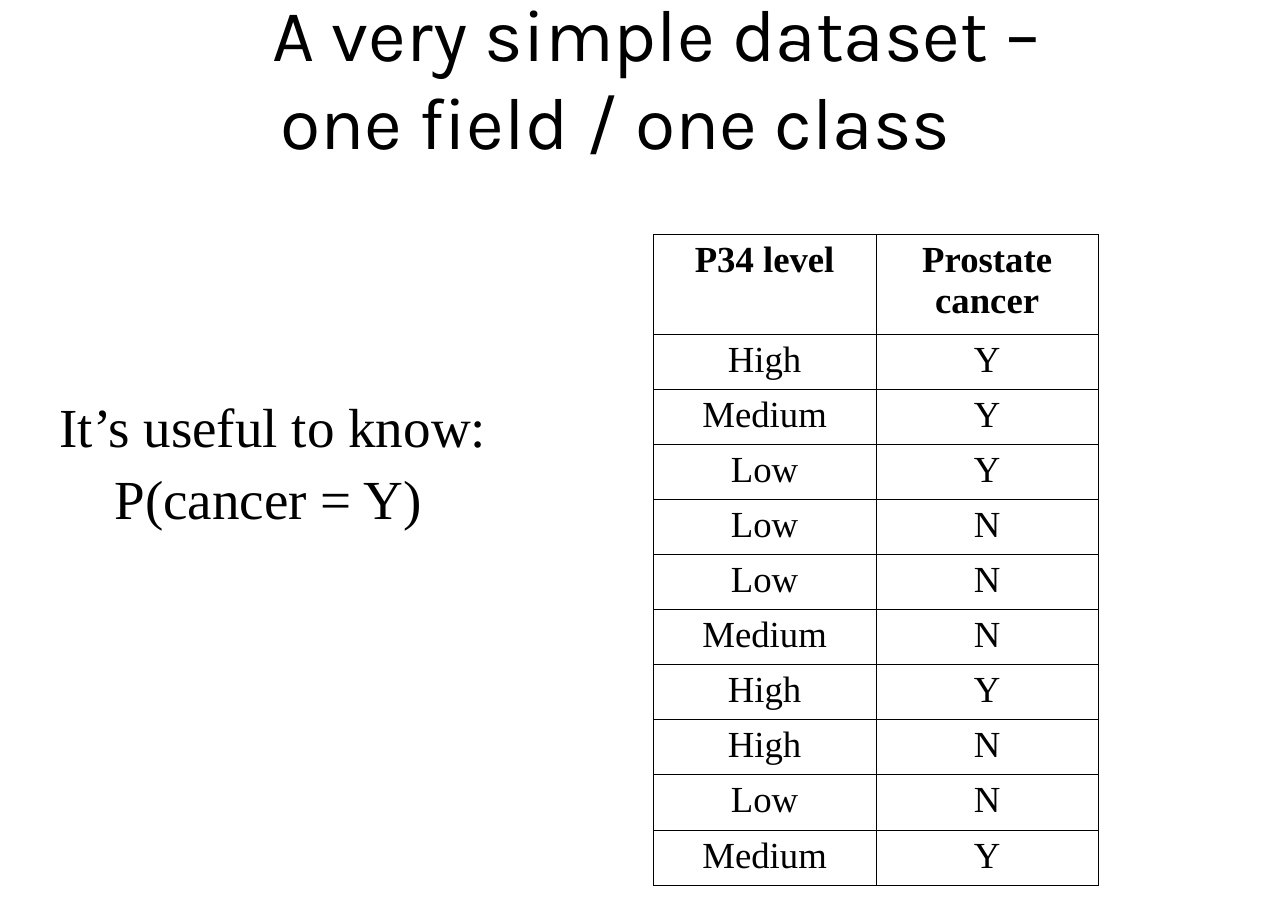
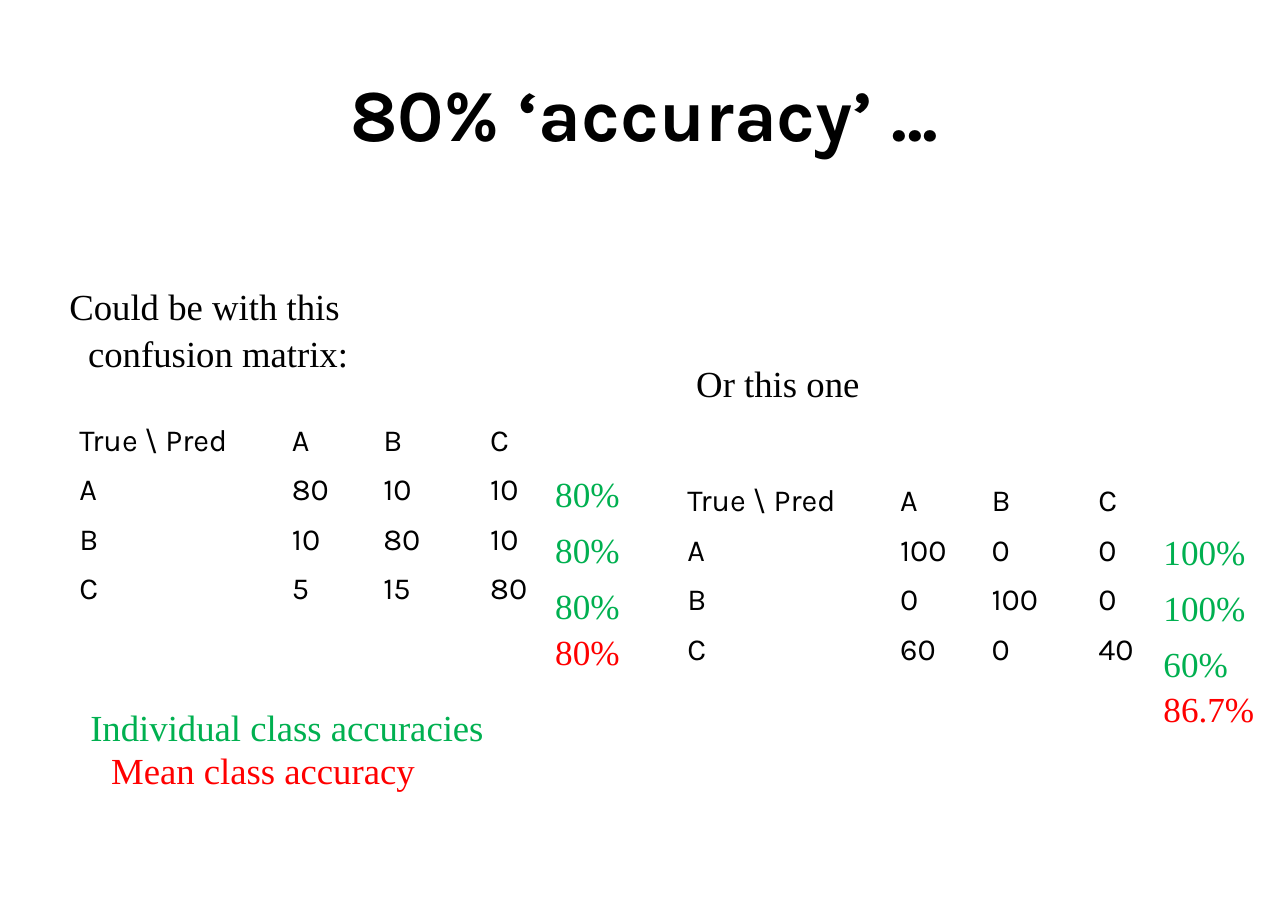
from dataclasses import dataclass

from pptx import Presentation
from pptx.dml.color import RGBColor
from pptx.enum.text import MSO_ANCHOR, PP_ALIGN
from pptx.oxml.ns import qn
from pptx.slide import Slide
from pptx.table import Table, _Cell
from pptx.text.text import TextFrame, _Paragraph
from pptx.util import Inches, Pt
from lxml.etree import SubElement


@dataclass(frozen=True)
class Theme:
    black: str = "000000"
    white: str = "FFFFFF"
    green: str = "00B050"
    red: str = "FF0000"
    sans: str = "Karla"
    serif: str = "Times New Roman"
    title: float = 48
    lead: float = 36
    body: float = 24
    score: float = 23
    matrix: float = 20
    border: float = 0.45
    leading: float = 1.08


T = Theme()


@dataclass(frozen=True)
class Line:
    text: str
    indent: float = 0
    color: str = T.black
    after: float = 0


@dataclass(frozen=True)
class Label:
    at: tuple[float, float, float, float]
    lines: list[Line]
    size: float = T.body


@dataclass(frozen=True)
class Matrix:
    left: float
    top: float
    counts: list[list[int]]
    score_top: float
    score_width: float
    scores: list[str]
    mean: str


MATRICES = [
    Matrix(0.6, 3.79, [[80, 10, 10], [10, 80, 10], [5, 15, 80]],
           4.2, 0.83, ["80%", "80%", "80%"], "80%"),
    Matrix(6.12, 4.34, [[100, 0, 0], [0, 100, 0], [60, 0, 40]],
           4.72, 1.24, ["100%", "100%", "60%"], "86.7%"),
]
SCORE_OFFSET = 4.33

LABELS = [
    Label((0.52, 2.48, 2.9, 1.31),
          [Line("Could be with this"), Line("confusion matrix:", 0.17)]),
    Label((6.13, 3.18, 1.9, 0.91), [Line("Or this one", 0.08)]),
    Label((0.71, 6.31, 3.9, 0.51),
          [Line("Individual class accuracies", color=T.green)]),
    Label((0.9, 6.7, 3.1, 0.51), [Line("Mean class accuracy", color=T.red)]),
]

PATIENTS = [
    ("High", "Y"), ("Medium", "Y"), ("Low", "Y"), ("Low", "N"), ("Low", "N"),
    ("Medium", "N"), ("High", "Y"), ("High", "N"), ("Low", "N"), ("Medium", "Y"),
]


def write(p: _Paragraph, text: str, *, size: float, font: str = T.serif,
          color: str = T.black, bold: bool = False,
          align: PP_ALIGN = PP_ALIGN.LEFT, indent: float = 0,
          after: float = 0, leading: float = 1.0) -> None:
    p.alignment = align
    p.line_spacing = leading
    p.space_after = Pt(after)
    if indent:
        p._p.get_or_add_pPr().set("marL", str(Inches(indent)))
    r = p.add_run()
    r.text = text
    r.font.size = Pt(size)
    r.font.name = font
    r.font.bold = bold
    r.font.color.rgb = RGBColor.from_string(color)


def add_box(s: Slide, at: tuple[float, float, float, float]) -> TextFrame:
    tf = s.shapes.add_textbox(*map(Inches, at)).text_frame
    tf.word_wrap = True
    tf.margin_left = tf.margin_right = Inches(0.11)
    tf.margin_top = tf.margin_bottom = Inches(0.06)
    return tf


def next_paragraph(tf: TextFrame, i: int) -> _Paragraph:
    return tf.add_paragraph() if i else tf.paragraphs[0]


def add_title(s: Slide, at: tuple[float, float, float, float], lines: list[Line],
              *, bold: bool = False, right: float = 0.11) -> None:
    tf = add_box(s, at)
    tf.vertical_anchor = MSO_ANCHOR.MIDDLE
    tf.margin_right = Inches(right)
    for i, line in enumerate(lines):
        write(next_paragraph(tf, i), line.text, size=T.title, font=T.sans,
              bold=bold, align=PP_ALIGN.CENTER, indent=line.indent)


def add_label(s: Slide, label: Label) -> None:
    tf = add_box(s, label.at)
    for i, line in enumerate(label.lines):
        write(next_paragraph(tf, i), line.text, size=label.size,
              color=line.color, indent=line.indent, after=line.after,
              leading=T.leading)


def add_grid(s: Slide, left: float, top: float, cols: list[float],
             rows: list[float]) -> Table:
    table = s.shapes.add_table(
        len(rows), len(cols), Inches(left), Inches(top),
        Inches(sum(cols)), Inches(sum(rows))).table
    table.first_row = table.horz_banding = False
    for col, width in zip(table.columns, cols):
        col.width = Inches(width)
    for row, height in zip(table.rows, rows):
        row.height = Inches(height)
    return table


def outline(cell: _Cell) -> None:
    tcPr = cell._tc.get_or_add_tcPr()
    for side in ("lnL", "lnR", "lnT", "lnB"):
        ln = SubElement(tcPr, qn(f"a:{side}"), w=str(Pt(T.border)))
        fill = SubElement(ln, qn("a:solidFill"))
        SubElement(fill, qn("a:srgbClr"), val=T.black)


def add_patients(s: Slide) -> None:
    table = add_grid(s, 5.93, 2.13, [2.02] * 2, [0.8] + [0.41] * len(PATIENTS))
    for i, row in enumerate([("P34 level", "Prostate cancer"), *PATIENTS]):
        for j, text in enumerate(row):
            cell = table.cell(i, j)
            outline(cell)
            cell.fill.solid()
            cell.fill.fore_color.rgb = RGBColor.from_string(T.white)
            write(cell.text_frame.paragraphs[0], text, size=T.body,
                  bold=i == 0, align=PP_ALIGN.CENTER)


def add_matrix(s: Slide, m: Matrix) -> None:
    classes = "ABC"
    table = add_grid(s, m.left, m.top, [1.93, 0.83, 0.97, 1.24], [0.45] * 4)
    body = [[name, *counts] for name, counts in zip(classes, m.counts)]
    for i, row in enumerate([["True \\ Pred", *classes], *body]):
        for j, value in enumerate(row):
            cell = table.cell(i, j)
            cell.fill.background()
            cell.margin_left = cell.margin_right = Inches(0.12)
            write(cell.text_frame.paragraphs[0], str(value), size=T.matrix,
                  font=T.sans)


def add_scores(s: Slide, m: Matrix) -> None:
    last = len(m.scores) - 1
    lines = [Line(score, color=T.green, after=6.9 if i < last else 0)
             for i, score in enumerate(m.scores)]
    lines.append(Line(m.mean, color=T.red))
    at = (m.left + SCORE_OFFSET, m.score_top, m.score_width, 1.84)
    add_label(s, Label(at, lines, T.score))


def build_dataset(s: Slide) -> None:
    add_title(s, (0.43, 0, 11.26, 1.38),
              [Line("A very simple dataset –", 0.74),
               Line("one field / one class")], right=1.05)
    add_patients(s)
    add_label(s, Label((0.43, 3.46, 4.35, 2.5),
                       [Line("It’s useful to know:"),
                        Line("P(cancer = Y)", 0.5)], T.lead))


def build_accuracy(s: Slide) -> None:
    add_title(s, (0.59, 0.33, 10.52, 1.38), [Line("80% ‘accuracy’ ...")], bold=True)
    for m in MATRICES:
        add_matrix(s, m)
        add_scores(s, m)
    for label in LABELS:
        add_label(s, label)


def main() -> None:
    prs = Presentation()
    prs.slide_width, prs.slide_height = Inches(11.69), Inches(8.27)
    for build in (build_dataset, build_accuracy):
        build(prs.slides.add_slide(prs.slide_layouts[6]))
    prs.save("out.pptx")


if __name__ == "__main__":
    main()
